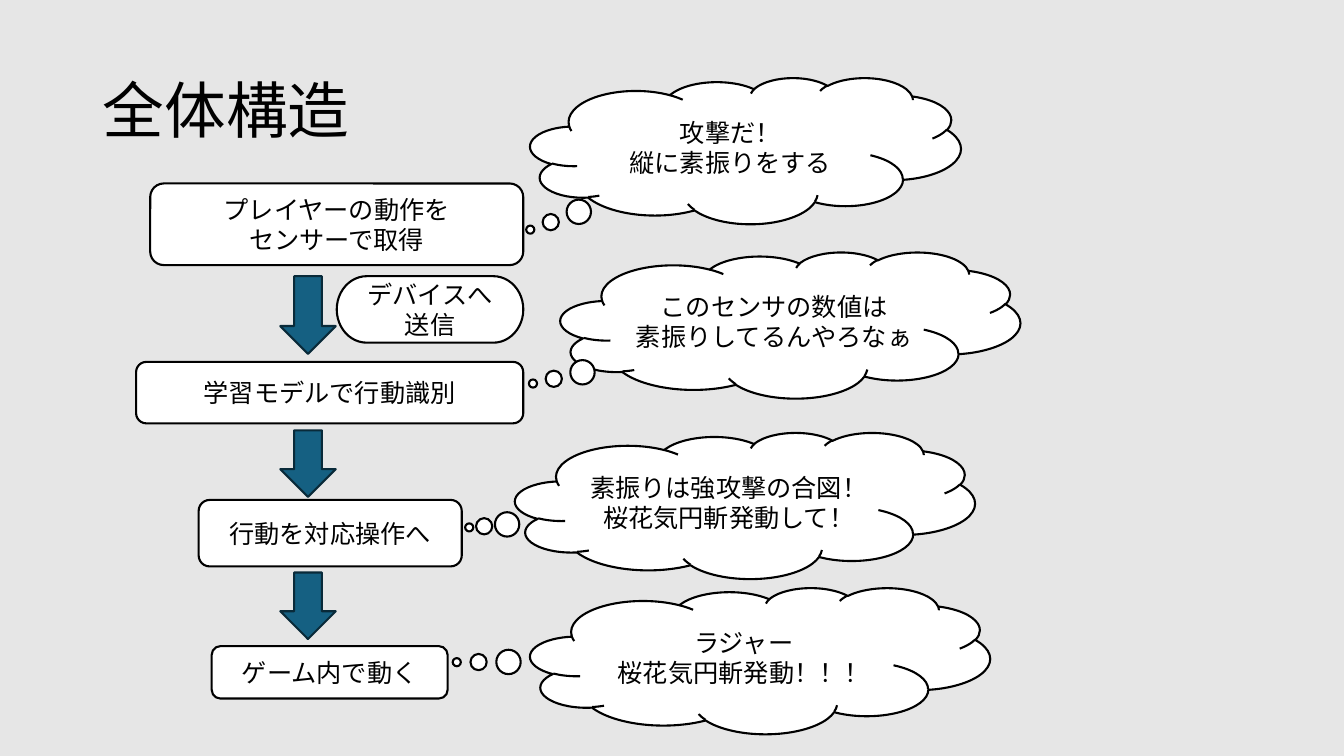
from dataclasses import dataclass

from lxml.etree import SubElement
from pptx import Presentation
from pptx.dml.color import RGBColor
from pptx.enum.shapes import MSO_SHAPE
from pptx.enum.text import MSO_ANCHOR, MSO_AUTO_SIZE, PP_ALIGN
from pptx.oxml.ns import qn
from pptx.slide import Slide
from pptx.text.text import TextFrame
from pptx.util import Emu, Pt

EMU_PER_PX = 9144  # 100 px to the inch


@dataclass(frozen=True)
class Theme:
    background: RGBColor = RGBColor(0xE6, 0xE6, 0xE6)
    box_fill: RGBColor = RGBColor(0xFF, 0xFF, 0xFF)
    ink: RGBColor = RGBColor(0x00, 0x00, 0x00)
    arrow_fill: RGBColor = RGBColor(0x15, 0x60, 0x82)
    arrow_line: RGBColor = RGBColor(0x09, 0x2A, 0x39)
    font: str = "Noto Sans CJK JP"
    title_size: Pt = Pt(44)
    body_size: Pt = Pt(18)
    line_width: Pt = Pt(1.5)


@dataclass(frozen=True)
class Item:
    """A shape with its place in px."""
    kind: MSO_SHAPE
    left: int
    top: int
    width: int
    height: int
    text: str = ""
    tail: tuple[float, ...] = ()


THEME = Theme()
SLIDE_SIZE = (1333, 750)
TITLE_PLACE = {"left": 92, "top": 40, "width": 1150, "height": 145}
STEP = MSO_SHAPE.FLOWCHART_ALTERNATE_PROCESS
NOTE = MSO_SHAPE.FLOWCHART_TERMINATOR
ARROW = MSO_SHAPE.DOWN_ARROW
CLOUD = MSO_SHAPE.CLOUD_CALLOUT

ITEMS = [
    Item(STEP, 149, 182, 370, 81, "プレイヤーの動作を\nセンサーで取得"),
    Item(STEP, 135, 359, 384, 61, "学習モデルで行動識別"),
    Item(STEP, 197, 496, 261, 66, "行動を対応操作へ"),
    Item(STEP, 210, 641, 234, 52, "ゲーム内で動く"),
    Item(NOTE, 334, 274, 185, 66, "デバイスへ\n送信"),
    Item(ARROW, 278, 274, 55, 77),
    Item(ARROW, 278, 427, 55, 66),
    Item(ARROW, 278, 568, 55, 66),
    Item(CLOUD, 526, 77, 427, 145, "攻撃だ！\n縦に素振りをする", (-0.5, 0.54)),
    Item(CLOUD, 556, 250, 456, 145, "このセンサの数値は\n素振りしてるんやろなぁ", (-0.56, 0.4)),
    Item(CLOUD, 511, 429, 456, 145, "素振りは強攻撃の合図！\n桜花気円斬発動して！", (-0.6, 0.15)),
    Item(CLOUD, 526, 583, 456, 145, "ラジャー\n桜花気円斬発動！！！", (-0.66, 0.01)),
]


def px(length: int) -> Emu:
    return Emu(length * EMU_PER_PX)


def write_text(frame: TextFrame, text: str, size: Pt, alignment: PP_ALIGN,
               line_spacing: float) -> None:
    frame.text = text
    frame_format = {"word_wrap": True, "auto_size": MSO_AUTO_SIZE.NONE,
                    "vertical_anchor": MSO_ANCHOR.MIDDLE}
    for name, value in frame_format.items():
        setattr(frame, name, value)
    for paragraph in frame.paragraphs:
        paragraph.alignment = alignment
        paragraph.line_spacing = line_spacing
        for run in paragraph.runs:
            for name, value in {"name": THEME.font, "size": size}.items():
                setattr(run.font, name, value)
            run.font.color.rgb = THEME.ink
            # Japanese glyphs take the East Asian typeface
            SubElement(run.font._element, qn("a:ea"), typeface=THEME.font)


def add_title(slide: Slide, text: str) -> None:
    title = slide.shapes.title
    for name, value in TITLE_PLACE.items():
        setattr(title, name, px(value))
    write_text(title.text_frame, text, THEME.title_size, PP_ALIGN.LEFT, 0.9)


def add_item(slide: Slide, item: Item) -> None:
    shape = slide.shapes.add_shape(
        item.kind, px(item.left), px(item.top), px(item.width), px(item.height))
    is_arrow = item.kind == ARROW
    shape.shadow.inherit = False
    shape.fill.solid()
    shape.fill.fore_color.rgb = THEME.arrow_fill if is_arrow else THEME.box_fill
    shape.line.color.rgb = THEME.arrow_line if is_arrow else THEME.ink
    shape.line.width = THEME.line_width
    for index, value in enumerate(item.tail):
        shape.adjustments[index] = value
    if item.text:
        write_text(shape.text_frame, item.text, THEME.body_size, PP_ALIGN.CENTER, 1.0)


def main() -> None:
    presentation = Presentation()
    presentation.slide_width, presentation.slide_height = map(px, SLIDE_SIZE)
    slide = presentation.slides.add_slide(
        presentation.slide_layouts.get_by_name("Title Only"))
    slide.background.fill.solid()
    slide.background.fill.fore_color.rgb = THEME.background
    add_title(slide, "全体構造")
    for item in ITEMS:
        add_item(slide, item)
    presentation.save("out.pptx")


if __name__ == "__main__":
    main()
